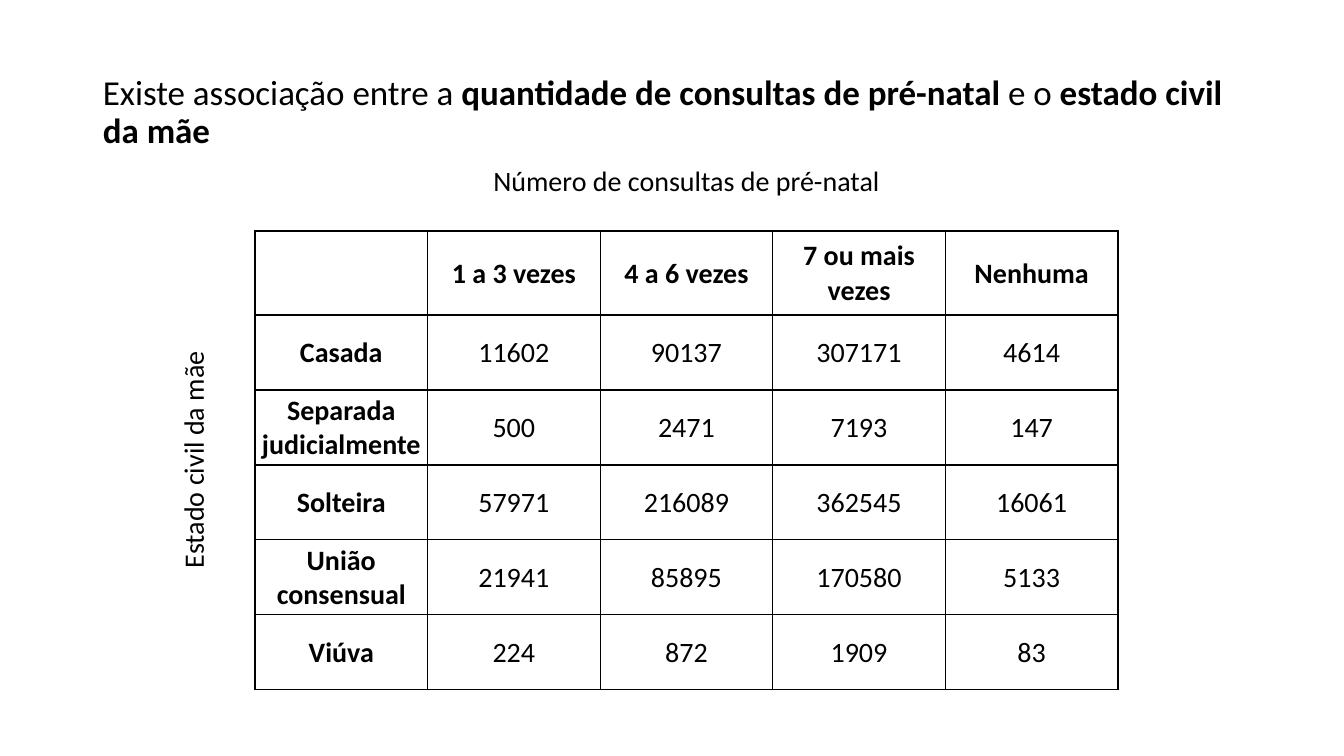
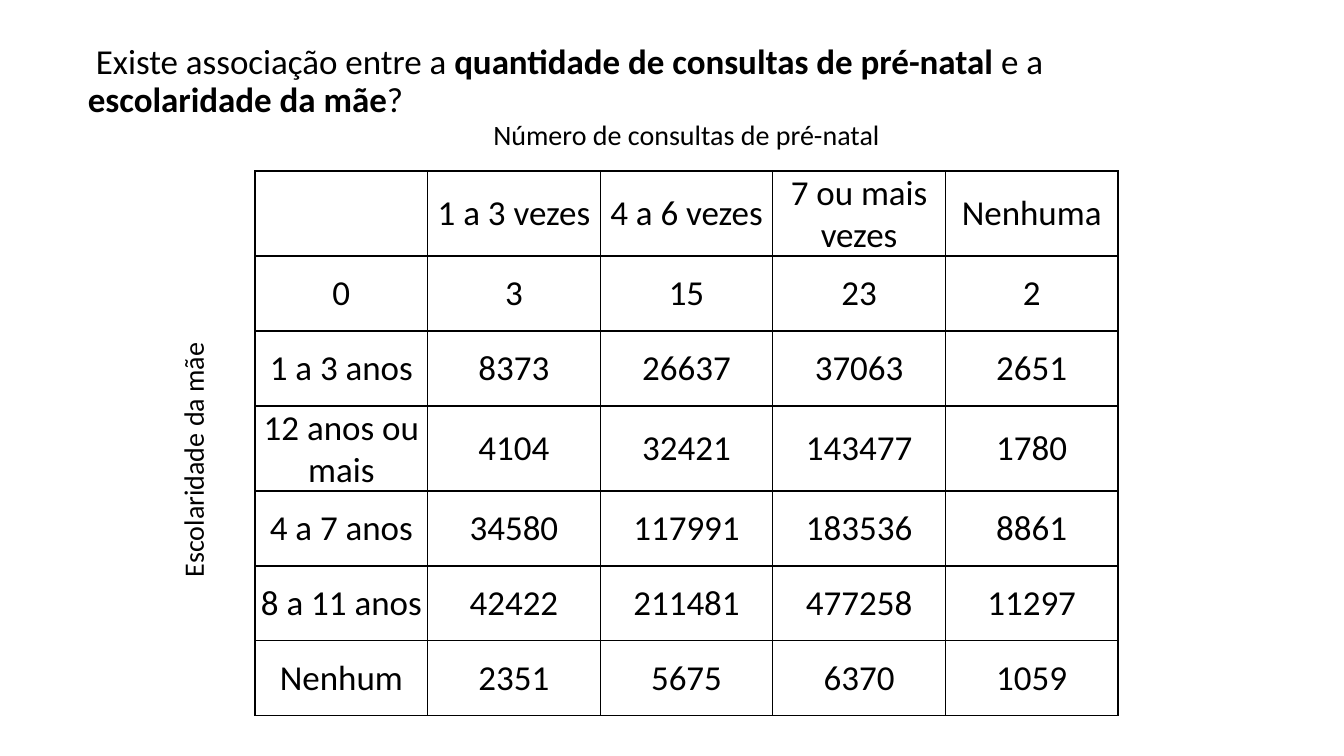
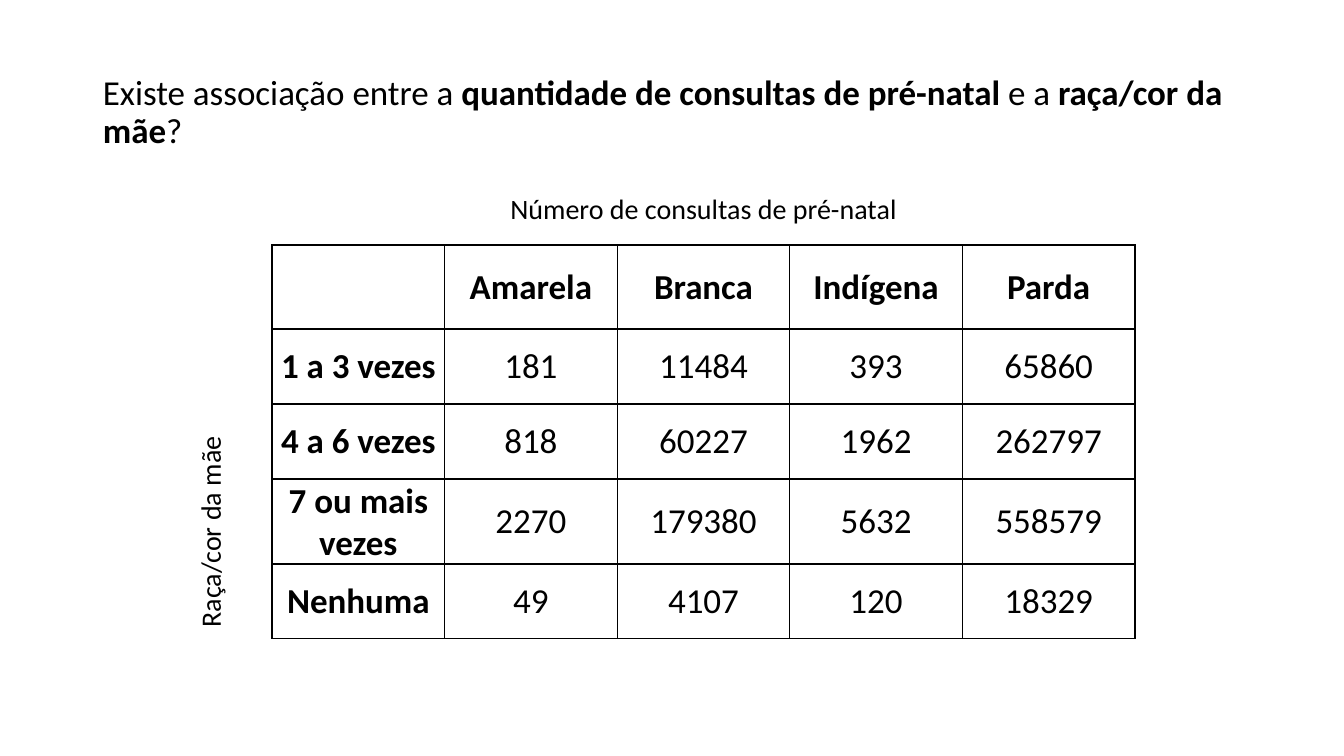
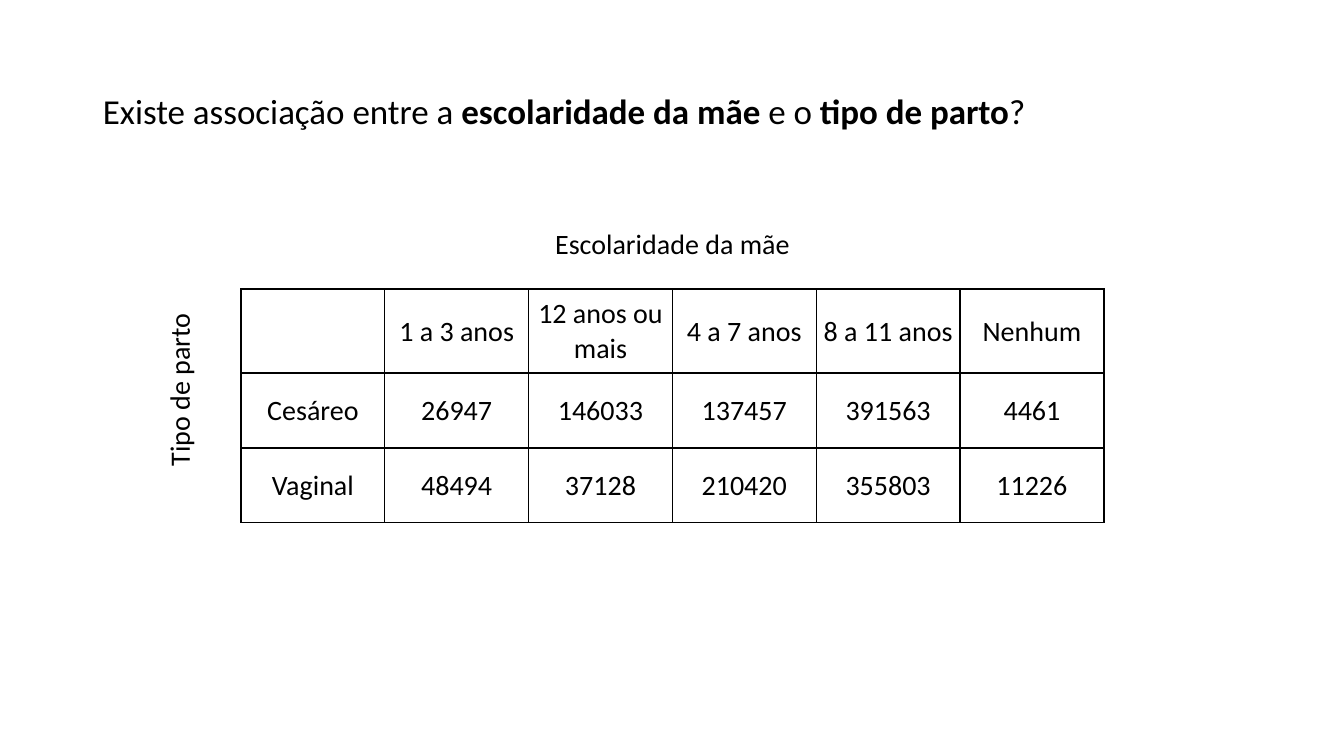
from lxml import etree
from pptx import Presentation
from pptx import util as u
from pptx.dml.color import RGBColor
from pptx.enum import text
from pptx.oxml.ns import qn

SCALE = 914400 / 100.8
FONT = "Calibri"
COLORS = {"ink": "000000"}
INK = RGBColor.from_string(COLORS["ink"])
TITLE_SIZE, LABEL_SIZE = 25, 20
TITLE_WIDTH, TITLE_HEIGHT = 1159, 146
LABEL_HEIGHT = 44
TABLE_WIDTH, HEADER_HEIGHT, ROW_HEIGHT = 863, 84, 75
SIDE_LABEL_GAP = 62
VISITS = ["1 a 3 vezes", "4 a 6 vezes", "7 ou mais vezes", "Nenhuma"]

# Title pieces alternate between regular and bold.
# Labels are (text, box width, vertical centre).
SLIDES = [
    {
        "title": ["Existe associação entre a ", "quantidade de consultas de pré-natal ",
                  "e o ", "estado civil da mãe"],
        "title_at": (93, 40),
        "table_at": (255, 231),
        "top_label": ("Número de consultas de pré-natal", 418, 181),
        "side_label": ("Estado civil da mãe", 240, 460),
        "size": 20,
        "bold_headers": True,
        "rows": [
            ["", *VISITS],
            ["Casada", 11602, 90137, 307171, 4614],
            ["Separada judicialmente", 500, 2471, 7193, 147],
            ["Solteira", 57971, 216089, 362545, 16061],
            ["União consensual", 21941, 85895, 170580, 5133],
            ["Viúva", 224, 872, 1909, 83],
        ],
    },
    {
        "title": [" Existe associação entre a ", "quantidade de consultas de pré-natal ",
                  "e a ", "escolaridade da mãe", "?"],
        "title_at": (78, 9),
        "table_at": (255, 171),
        "top_label": ("Número de consultas de pré-natal", 418, 135),
        "side_label": ("Escolaridade da mãe", 257, 460),
        "size": 25,
        "bold_headers": False,
        "rows": [
            ["", *VISITS],
            ["0", 3, 15, 23, 2],
            ["1 a 3 anos", 8373, 26637, 37063, 2651],
            ["12 anos ou mais", 4104, 32421, 143477, 1780],
            ["4 a 7 anos", 34580, 117991, 183536, 8861],
            ["8 a 11 anos", 42422, 211481, 477258, 11297],
            ["Nenhum", 2351, 5675, 6370, 1059],
        ],
    },
    {
        "title": ["Existe associação entre a ", "quantidade de consultas de pré-natal ",
                  "e a ", "raça/cor da mãe", "?"],
        "title_at": (93, 40),
        "table_at": (272, 245),
        "top_label": ("Número de consultas de pré-natal", 418, 209),
        "side_label": ("Raça/cor da mãe", 214, 532),
        "size": 25,
        "bold_headers": True,
        "rows": [
            ["", "Amarela", "Branca", "Indígena", "Parda"],
            [VISITS[0], 181, 11484, 393, 65860],
            [VISITS[1], 818, 60227, 1962, 262797],
            [VISITS[2], 2270, 179380, 5632, 558579],
            [VISITS[3], 49, 4107, 120, 18329],
        ],
    },
    {
        "title": ["Existe associação entre a ", "escolaridade da mãe ",
                  "e o ", "tipo de parto", "?"],
        "title_at": (93, 40),
        "table_at": (241, 289),
        "top_label": ("Escolaridade da mãe", 257, 244),
        "side_label": ("Tipo de parto", 174, 390),
        "size": 20,
        "bold_headers": False,
        "rows": [
            ["", "1 a 3 anos", "12 anos ou mais", "4 a 7 anos", "8 a 11 anos", "Nenhum"],
            ["Cesáreo", 26947, 146033, 137457, 391563, 4461],
            ["Vaginal", 48494, 37128, 210420, 355803, 11226],
        ],
    },
]


def px(pixels):
    """Turn pixels into EMU."""
    return u.Emu(round(pixels * SCALE))


def style(paragraph, size, bold=False):
    """Set the shared font on a paragraph."""
    font = paragraph.font
    font.name, font.size, font.bold = FONT, u.Pt(size), bold
    font.color.rgb = INK


presentation = Presentation()
presentation.slide_width, presentation.slide_height = px(1344), px(756)

for content in SLIDES:
    slide = presentation.slides.add_slide(presentation.slide_layouts[6])
    rows = content["rows"]
    left, top = content["table_at"]

    title_left, title_top = content["title_at"]
    title = slide.shapes.add_textbox(
        px(title_left), px(title_top), px(TITLE_WIDTH), px(TITLE_HEIGHT))
    title.text_frame.word_wrap = True
    title.text_frame.vertical_anchor = text.MSO_ANCHOR.MIDDLE
    paragraph = title.text_frame.paragraphs[0]
    paragraph.line_spacing = 0.9
    style(paragraph, TITLE_SIZE)
    for index, piece in enumerate(content["title"]):
        run = paragraph.add_run()
        run.text = piece
        run.font.bold = index % 2 == 1

    column_count = len(rows[0])
    table = slide.shapes.add_table(
        len(rows), column_count, px(left), px(top), px(TABLE_WIDTH),
        px(HEADER_HEIGHT + ROW_HEIGHT * (len(rows) - 1))).table
    table.first_row = table.horz_banding = False
    for column in table.columns:
        column.width = px(TABLE_WIDTH / column_count)
    for row_index, values in enumerate(rows):
        table.rows[row_index].height = px(ROW_HEIGHT if row_index else HEADER_HEIGHT)
        for column_index, value in enumerate(values):
            cell = table.cell(row_index, column_index)
            cell.text = str(value)
            cell.vertical_anchor = text.MSO_ANCHOR.MIDDLE
            cell.margin_left = cell.margin_right = cell.margin_top = px(1)
            cell.margin_bottom = 0
            paragraph = cell.text_frame.paragraphs[0]
            paragraph.alignment = text.PP_ALIGN.CENTER
            is_header = row_index == 0 or column_index == 0
            style(paragraph, content["size"], content["bold_headers"] and is_header)
            properties = cell._tc.get_or_add_tcPr()
            for side in ("a:lnL", "a:lnR", "a:lnT", "a:lnB"):
                line = etree.SubElement(properties, qn(side), w=str(u.Pt(1)))
                fill = etree.SubElement(line, qn("a:solidFill"))
                etree.SubElement(fill, qn("a:srgbClr"), val=COLORS["ink"])
            cell.fill.background()

    for key, center, rotation in (
            ("side_label", left - SIDE_LABEL_GAP, 270),
            ("top_label", left + TABLE_WIDTH / 2, 0)):
        wording, width, middle = content[key]
        label = slide.shapes.add_textbox(
            px(center - width / 2), px(middle - LABEL_HEIGHT / 2), px(width), px(LABEL_HEIGHT))
        label.rotation = rotation
        label.text_frame.word_wrap = False
        label.text_frame.auto_size = text.MSO_AUTO_SIZE.SHAPE_TO_FIT_TEXT
        paragraph = label.text_frame.paragraphs[0]
        paragraph.text = wording
        paragraph.alignment = text.PP_ALIGN.CENTER
        style(paragraph, LABEL_SIZE)

presentation.save("out.pptx")
